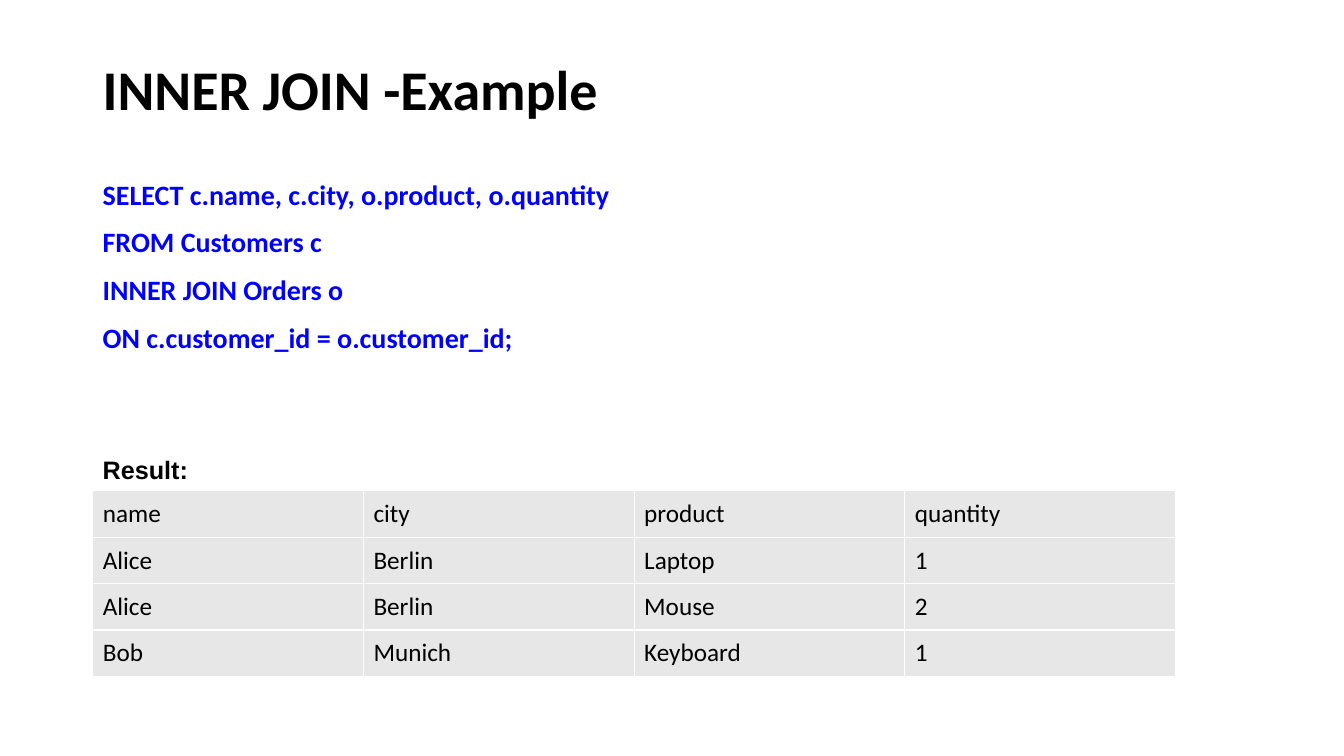
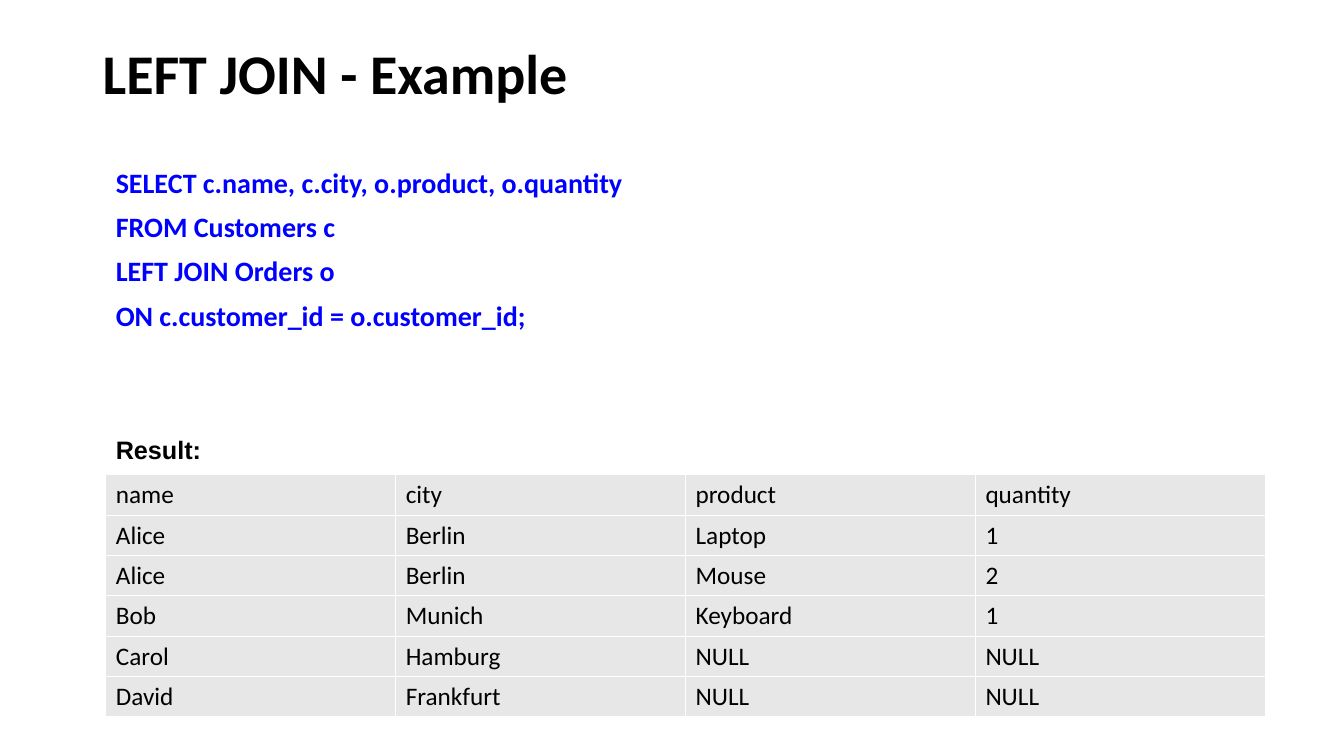
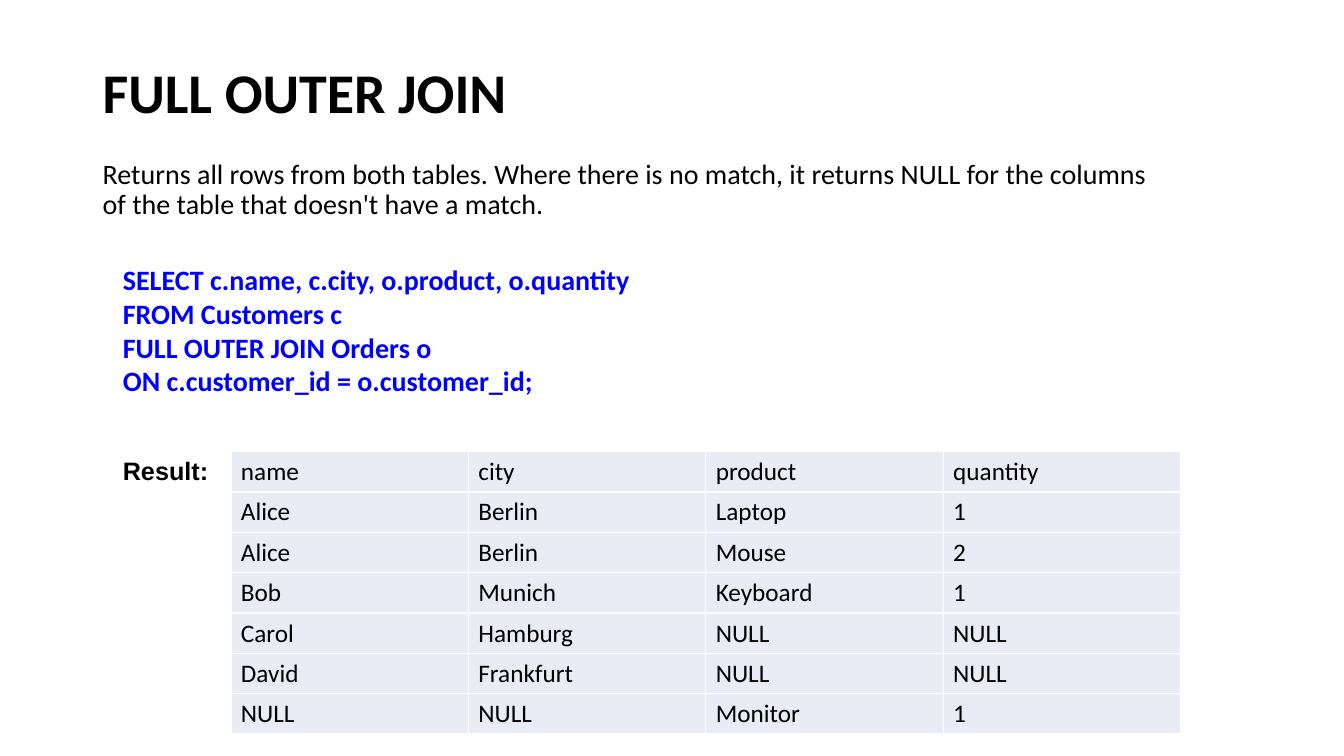
"""Build three slides that explain SQL joins with a query and its result table."""
import pptx
import pptx.dml.color
import pptx.enum.text
import pptx.oxml.ns
import pptx.util
from lxml import etree

Inches = pptx.util.Inches
Pt = pptx.util.Pt
ANCHOR = pptx.enum.text.MSO_ANCHOR

COLORS = {
    "text": "000000",
    "code": "0000FF",
    "border": "FFFFFF",
    "gray": "E7E7E7",
    "lavender": "E9EBF5",
}
BODY_FONT = "Calibri"
LABEL_FONT = "Arial"
MARGIN = 0.92
CONTENT_WIDTH = 11.5

HEADER = ("name", "city", "product", "quantity")
MATCHED = [
    ("Alice", "Berlin", "Laptop", "1"),
    ("Alice", "Berlin", "Mouse", "2"),
    ("Bob", "Munich", "Keyboard", "1"),
]
CUSTOMERS_ONLY = [
    ("Carol", "Hamburg", "NULL", "NULL"),
    ("David", "Frankfurt", "NULL", "NULL"),
]
ORDERS_ONLY = [("NULL", "NULL", "Monitor", "1")]


def color(name):
    return pptx.dml.color.RGBColor.from_string(COLORS[name])


def add_run(paragraph, text, size, font=BODY_FONT, ink="text", bold=False):
    run = paragraph.add_run()
    run.text = text
    run.font.name = font
    run.font.size = Pt(size)
    run.font.bold = bold
    run.font.color.rgb = color(ink)


def add_text(slide, box, lines, size, anchor=ANCHOR.TOP, spacing=1.0, before=0, **style):
    frame = slide.shapes.add_textbox(*map(Inches, box)).text_frame
    frame.word_wrap = True
    frame.vertical_anchor = anchor
    for index, line in enumerate(lines):
        paragraph = frame.add_paragraph() if index else frame.paragraphs[0]
        paragraph.line_spacing = spacing
        paragraph.space_before = Pt(before)
        add_run(paragraph, line, size, **style)


def add_title(slide, top, title):
    box = (MARGIN, top, CONTENT_WIDTH, 1.45)
    add_text(slide, box, [title], 40, ANCHOR.MIDDLE, 0.9, bold=True)


def add_query(slide, left, top, height, join, spacing=1.0, before=0):
    lines = [
        "SELECT c.name, c.city, o.product, o.quantity",
        "FROM Customers c",
        f"{join} Orders o",
        "ON c.customer_id = o.customer_id;",
    ]
    box = (left, top, CONTENT_WIDTH, height)
    add_text(slide, box, lines, 20, spacing=spacing, before=before, ink="code", bold=True)


def add_result_label(slide, left, top):
    box = (left, top, 1.2, 0.4)
    add_text(slide, box, ["Result:"], 18, ANCHOR.MIDDLE, font=LABEL_FONT, bold=True)


def set_borders(cell):
    properties = cell._tc.get_or_add_tcPr()
    for position, side in enumerate(("lnL", "lnR", "lnT", "lnB")):
        line = etree.Element(pptx.oxml.ns.qn(f"a:{side}"), w=str(Pt(1)))
        fill = etree.SubElement(line, pptx.oxml.ns.qn("a:solidFill"))
        etree.SubElement(fill, pptx.oxml.ns.qn("a:srgbClr"), val=COLORS["border"])
        properties.insert(position, line)


def add_result_table(slide, left, top, width, row_height, records, fill):
    rows = [HEADER, *records]
    box = (left, top, width, row_height * len(rows))
    frame = slide.shapes.add_table(len(rows), len(HEADER), *map(Inches, box))
    table = frame.table
    table.first_row = False
    table.horz_banding = False
    for row_index, values in enumerate(rows):
        for column_index, value in enumerate(values):
            cell = table.cell(row_index, column_index)
            cell.fill.solid()
            cell.fill.fore_color.rgb = color(fill)
            cell.vertical_anchor = ANCHOR.MIDDLE
            set_borders(cell)
            add_run(cell.text_frame.paragraphs[0], value, 18)


def add_inner_join(slide):
    add_title(slide, 0.19, "INNER JOIN -Example")
    add_query(slide, MARGIN, 1.71, 2.5, "INNER JOIN", before=10)
    add_result_table(slide, MARGIN, 4.87, 10.74, 0.46, MATCHED, "gray")
    add_result_label(slide, MARGIN, 4.46)


def add_left_join(slide):
    left = 1.05
    add_title(slide, 0.03, "LEFT JOIN - Example")
    add_query(slide, left, 1.63, 2.5, "LEFT JOIN", spacing=0.9, before=10)
    records = MATCHED + CUSTOMERS_ONLY
    add_result_table(slide, left, 4.71, CONTENT_WIDTH, 0.4, records, "gray")
    add_result_label(slide, left, 4.26)


def add_full_outer_join(slide):
    left = 1.12
    add_title(slide, 0.22, "FULL OUTER JOIN")
    summary = (
        "Returns all rows from both tables. Where there is no match, it returns NULL "
        "for the columns of the table that doesn't have a match."
    )
    add_text(slide, (MARGIN, 1.54, 10.59, 0.8), [summary], 20, spacing=0.9, before=10)
    add_query(slide, left, 2.56, 1.5, "FULL OUTER JOIN")
    records = MATCHED + CUSTOMERS_ONLY + ORDERS_ONLY
    add_result_table(slide, 2.29, 4.48, 9.42, 0.4, records, "lavender")
    add_result_label(slide, left, 4.47)


def main():
    presentation = pptx.Presentation()
    presentation.slide_width = Inches(13.33)
    presentation.slide_height = Inches(7.5)
    blank = presentation.slide_layouts[6]
    for build in (add_inner_join, add_left_join, add_full_outer_join):
        build(presentation.slides.add_slide(blank))
    presentation.save("out.pptx")


if __name__ == "__main__":
    main()
